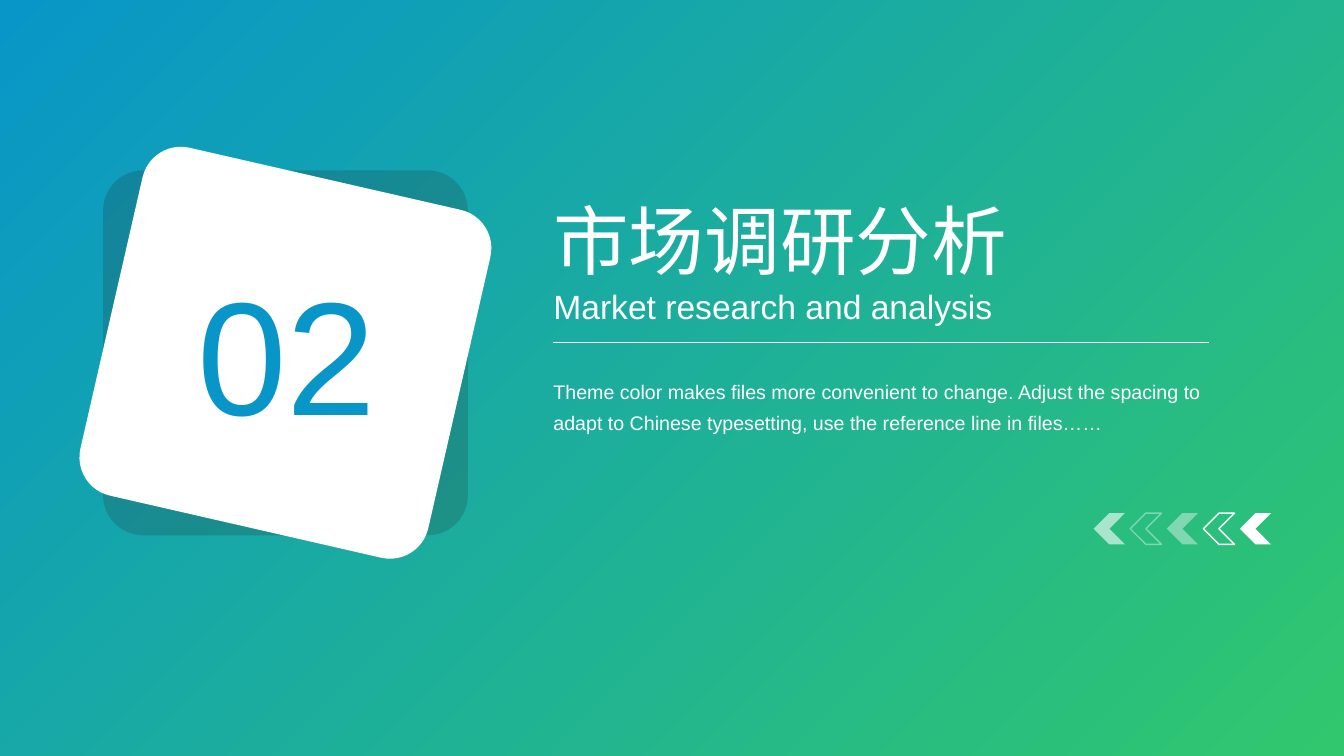
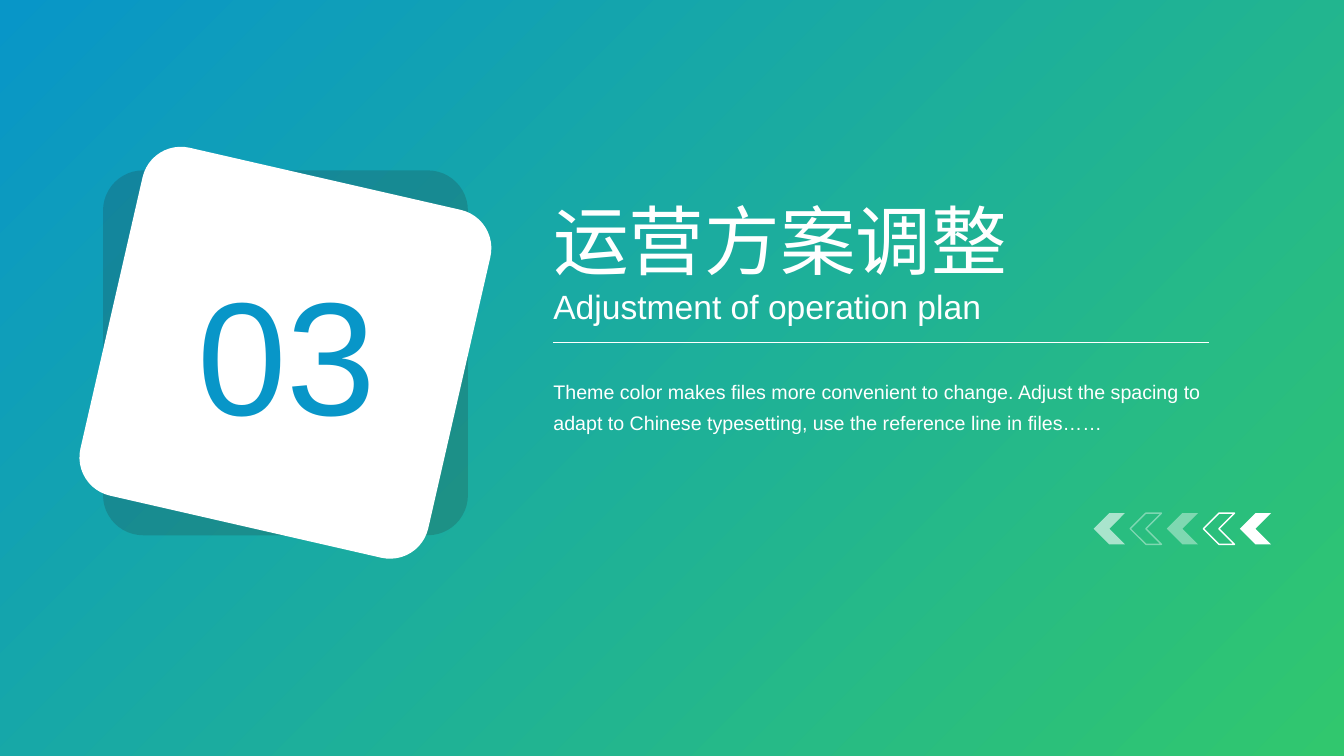
from lxml import etree
from pptx import Presentation
from pptx import util as u
from pptx.dml.color import RGBColor
from pptx.enum import shapes, text
from pptx.oxml.ns import qn

# Shared look
WHITE, SHADE = "FFFFFF", "262626"
GRADIENT = ("0896C8", "31C76E")
FONT = "Arial"
TEXT_LEFT, TEXT_WIDTH = 395.28, 468
RULE_TOP = 244.8
CARD_CENTER = (203.9, 252)
CHEVRON_LEFT, CHEVRON_TOP, CHEVRON_SIZE, CHEVRON_STEP = 781.2, 366.48, 22.32, 26.1
# From left to right: outlined or filled, opacity in percent
CHEVRONS = [(False, 60), (True, 40), (False, 40), (True, 100), (False, 100)]

BODY = ("Theme color makes files more convenient to change. Adjust the spacing to "
        "adapt to Chinese typesetting, use the reference line in files……")
SECTIONS = [
    ("02", "市场调研分析", "Market research and analysis"),
    ("03", "运营方案调整", "Adjustment of operation plan"),
]


def rgb(color):
    return RGBColor.from_string(color)


def points(*values):
    return [u.Pt(value) for value in values]


def set_all(target, values):
    for name, value in values.items():
        setattr(target, name, value)


def paint(fill, color):
    """Fill with one colour, or with a diagonal gradient for a pair."""
    if isinstance(color, str):
        fill.solid()
        fill.fore_color.rgb = rgb(color)
        return
    fill.gradient()
    fill.gradient_angle = 315
    for stop, stop_color in zip(fill.gradient_stops, color):
        stop.color.rgb = rgb(stop_color)


def add_shape(parent, kind, box, color, opacity=100, outlined=False, rotation=0):
    shape = parent.shapes.add_shape(kind, *points(*box))
    shape.shadow.inherit = False
    shape.rotation = rotation
    if outlined:
        shape.fill.background()
        paint(shape.line.fill, color)
        shape.line.width = u.Pt(1)
    else:
        paint(shape.fill, color)
        shape.line.fill.background()
    if opacity < 100:
        for element in list(shape.element.spPr.iter(qn("a:srgbClr"))):
            etree.SubElement(element, qn("a:alpha"), val=str(opacity * 1000))
    return shape


def add_card(slide, size, color, **look):
    center_x, center_y = CARD_CENTER
    box = (center_x - size / 2, center_y - size / 2, size, size)
    card = add_shape(slide, shapes.MSO_SHAPE.ROUNDED_RECTANGLE, box, color, **look)
    card.adjustments[0] = 0.11


def add_text(slide, box, content, size, color=WHITE, **paragraph_format):
    frame = slide.shapes.add_textbox(*points(*box)).text_frame
    set_all(frame, {
        "word_wrap": True, "auto_size": text.MSO_AUTO_SIZE.SHAPE_TO_FIT_TEXT,
        "margin_left": 0, "margin_top": 0, "margin_right": 0, "margin_bottom": 0,
    })
    paragraph = frame.paragraphs[0]
    set_all(paragraph, paragraph_format)
    run = paragraph.add_run()
    run.text = content
    set_all(run.font, {"name": FONT, "size": u.Pt(size)})
    paint(run.font.fill, color)


def add_rule(slide):
    ends = points(TEXT_LEFT, RULE_TOP, TEXT_LEFT + TEXT_WIDTH, RULE_TOP)
    rule = slide.shapes.add_connector(shapes.MSO_CONNECTOR.STRAIGHT, *ends)
    paint(rule.line.fill, WHITE)
    rule.line.width = u.Pt(0.5)
    etree.SubElement(rule.element.spPr, qn("a:effectLst"))


def add_chevrons(slide):
    group = slide.shapes.add_group_shape()
    for index, (outlined, opacity) in enumerate(CHEVRONS):
        left = CHEVRON_LEFT + index * CHEVRON_STEP
        add_shape(group, shapes.MSO_SHAPE.CHEVRON,
                  (left, CHEVRON_TOP, CHEVRON_SIZE, CHEVRON_SIZE),
                  WHITE, opacity, outlined, rotation=180)


def add_section(presentation, number, title, subtitle):
    slide = presentation.slides.add_slide(presentation.slide_layouts[6])
    # Number card
    add_card(slide, 260.64, SHADE, opacity=20)
    add_card(slide, 254.88, WHITE, rotation=12.9)
    add_text(slide, (91.44, 182.16, 226.8, 139.68), number, 115, GRADIENT,
             alignment=text.PP_ALIGN.CENTER)
    # Heading and description
    add_text(slide, (TEXT_LEFT, 138.24, TEXT_WIDTH, 65.52), title, 54)
    add_text(slide, (TEXT_LEFT, 204.48, TEXT_WIDTH, 28.8), subtitle, 24)
    add_text(slide, (TEXT_LEFT, 266.4, TEXT_WIDTH, 64.8), BODY, 14, line_spacing=1.3)
    add_rule(slide)
    # Decoration
    add_chevrons(slide)


def main():
    presentation = Presentation()
    set_all(presentation, {"slide_width": u.Pt(960), "slide_height": u.Pt(540)})
    paint(presentation.slide_master.background.fill, GRADIENT)
    for section in SECTIONS:
        add_section(presentation, *section)
    presentation.save("out.pptx")


if __name__ == "__main__":
    main()
